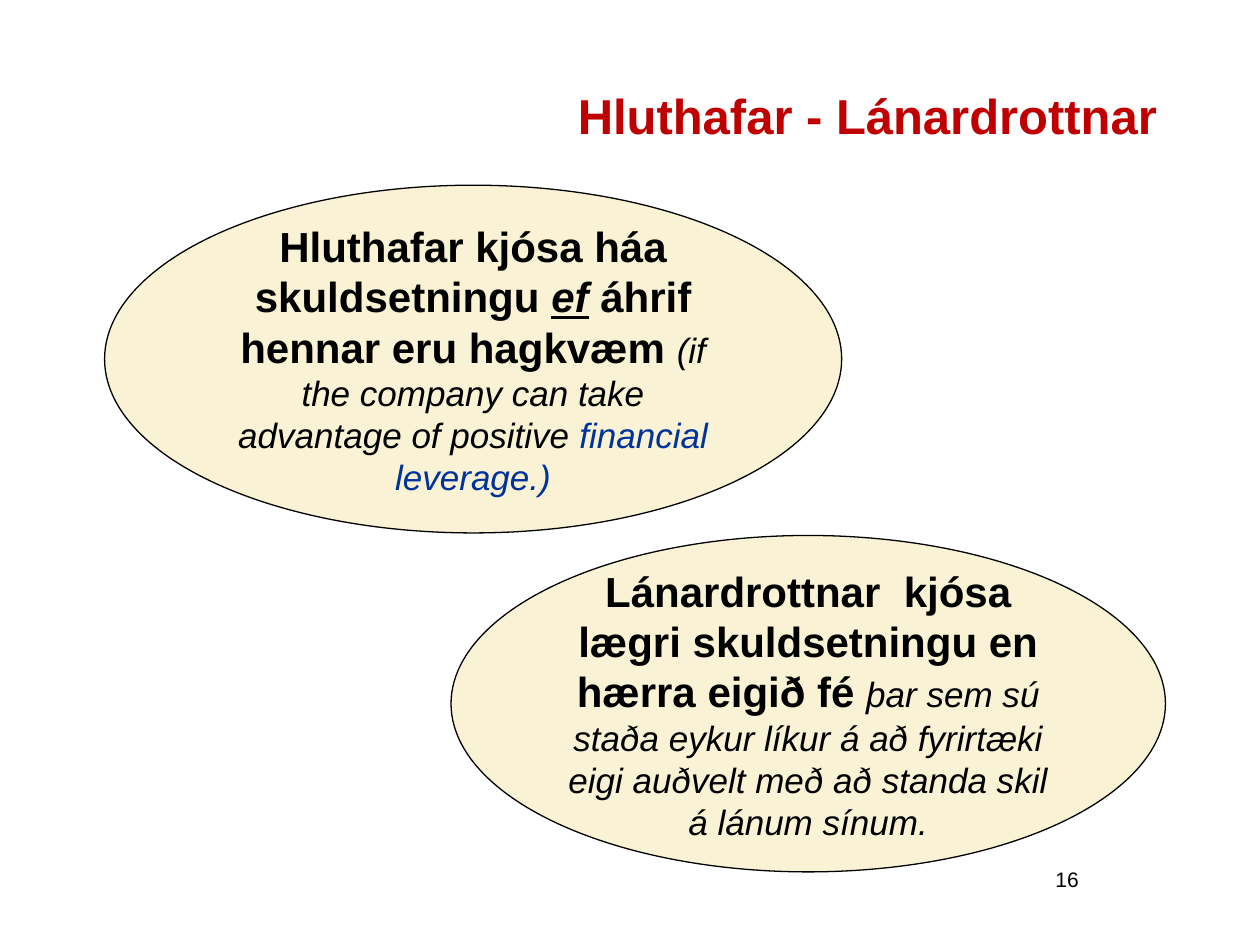
from dataclasses import dataclass

from pptx import Presentation
from pptx.dml.color import RGBColor
from pptx.enum.shapes import MSO_SHAPE as Shape
from pptx.enum.text import MSO_ANCHOR as Anchor, PP_ALIGN as Align
from pptx.util import Inches, Pt

BLACK = RGBColor(0x00, 0x00, 0x00)
RED = RGBColor(0xC0, 0x00, 0x00)
BLUE = RGBColor(0x00, 0x33, 0x99)
CREAM = RGBColor(0xF9, 0xF2, 0xD5)


@dataclass(frozen=True)
class Style:
    size: int
    bold: bool = False
    italic: bool = False
    under: bool = False
    color: RGBColor = BLACK


HEAD = Style(28, bold=True, color=RED)
MAIN = Style(24, bold=True)
STRESS = Style(24, bold=True, italic=True, under=True)
NOTE = Style(20, italic=True)
TERM = Style(20, italic=True, color=BLUE)
PAGE = Style(12)


@dataclass(frozen=True)
class Box:
    left: float
    top: float
    width: float
    height: float

    def place(self) -> tuple:
        return tuple(map(Inches, (self.left, self.top, self.width, self.height)))


@dataclass(frozen=True)
class Bubble:
    box: Box
    words: tuple[tuple[str, Style], ...]


BUBBLES = (
    Bubble(Box(0.83, 1.47, 5.85, 2.76), (
        ("Hluthafar kjósa háa skuldsetningu ", MAIN),
        ("ef", STRESS),
        (" áhrif hennar eru hagkvæm ", MAIN),
        ("(if the company can take advantage of positive ", NOTE),
        ("financial leverage.)", TERM),
    )),
    Bubble(Box(3.58, 4.25, 5.67, 2.67), (
        ("Lánardrottnar  kjósa lægri skuldsetningu en hærra eigið fé ", MAIN),
        ("þar sem sú staða eykur líkur á að fyrirtæki eigi auðvelt með "
         "að standa skil á lánum sínum.", NOTE),
    )),
)


def set_font(font, style: Style) -> None:
    font.name = "Arial"
    font.size = Pt(style.size)
    font.bold = style.bold
    font.italic = style.italic
    font.underline = style.under
    font.color.rgb = style.color


def add_label(slide, box: Box, text: str, style: Style, anchor: Anchor) -> None:
    frame = slide.shapes.add_textbox(*box.place()).text_frame
    frame.word_wrap = True
    frame.vertical_anchor = anchor
    para = frame.paragraphs[0]
    para.text = text
    para.alignment = Align.RIGHT
    set_font(para.font, style)


def add_bubble(slide, bubble: Bubble) -> None:
    oval = slide.shapes.add_shape(Shape.OVAL, *bubble.box.place())
    oval.shadow.inherit = False
    oval.fill.solid()
    oval.fill.fore_color.rgb = CREAM
    oval.line.color.rgb = BLACK
    oval.line.width = Pt(0.75)
    frame = oval.text_frame
    frame.word_wrap = True
    frame.vertical_anchor = Anchor.MIDDLE
    para = frame.paragraphs[0]
    para.alignment = Align.CENTER
    for text, style in bubble.words:
        run = para.add_run()
        run.text = text
        set_font(run.font, style)


def main() -> None:
    deck = Presentation()
    deck.slide_width = Inches(10)
    deck.slide_height = Inches(7.5)
    slide = deck.slides.add_slide(deck.slide_layouts[6])
    add_label(slide, Box(6.58, 6.83, 2.08, 0.5), "16", PAGE, Anchor.TOP)
    for bubble in BUBBLES:
        add_bubble(slide, bubble)
    add_label(slide, Box(0.75, 0.52, 8.53, 0.79), "Hluthafar - Lánardrottnar",
              HEAD, Anchor.MIDDLE)
    deck.save("out.pptx")


if __name__ == "__main__":
    main()
